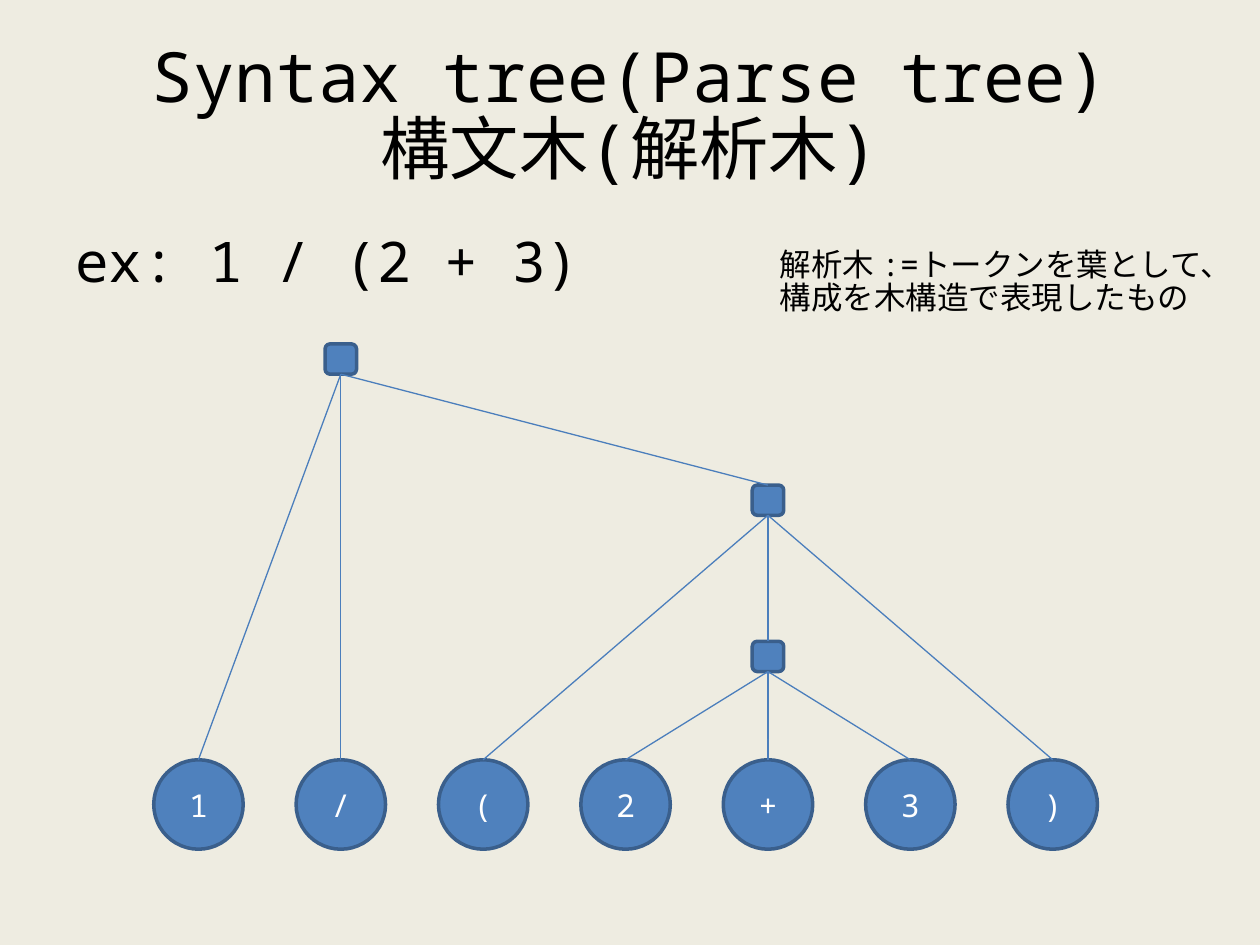
from pptx import Presentation
from pptx.dml.color import RGBColor
from pptx.enum.shapes import MSO_CONNECTOR, MSO_SHAPE
from pptx.enum.text import MSO_ANCHOR, PP_ALIGN
from pptx.oxml.ns import qn
from pptx.util import Inches, Pt
from lxml import etree

FONT = "Noto Sans Mono"
BACKGROUND = RGBColor(0xEE, 0xEC, 0xE1)
BLACK = RGBColor(0, 0, 0)
WHITE = RGBColor(0xFF, 0xFF, 0xFF)
NODE_FILL = RGBColor(0x4F, 0x81, 0xBD)
NODE_LINE = RGBColor(0x3A, 0x5F, 0x8C)
EDGE_LINE = RGBColor(0x4B, 0x7E, 0xBC)

TOKENS = ["1", "/", "(", "2", "+", "3", ")"]
TOKEN_STEP = 1.13
TOKEN_SIZE = 0.71
NODE_WIDTH, NODE_HEIGHT = 0.25, 0.24

# Inner nodes: token column they stand over, distance from the tree's top
INNER_NODES = {"expression": (1, 0), "group": (4, 1.12), "sum": (4, 2.36)}
# Children are token columns or names of inner nodes
CHILDREN = {
    "expression": [0, 1, "group"],
    "group": [2, "sum", 6],
    "sum": [3, 4, 5],
}


def write(text_frame, text, size, color=BLACK, align=PP_ALIGN.LEFT, spacing=None):
    text_frame.word_wrap = True
    text_frame.text = text
    for paragraph in text_frame.paragraphs:
        paragraph.alignment = align
        paragraph.line_spacing = spacing
        paragraph.font.name = FONT
        paragraph.font.size = Pt(size)
        paragraph.font.color.rgb = color


def add_title(slide, left, top, width, height):
    title = slide.shapes.title
    title.left, title.top = Inches(left), Inches(top)
    title.width, title.height = Inches(width), Inches(height)
    write(title.text_frame, "Syntax tree(Parse tree)\v構文木(解析木)", 39.6,
          align=PP_ALIGN.CENTER, spacing=0.87)
    title.text_frame.vertical_anchor = MSO_ANCHOR.MIDDLE


def add_text(slide, left, top, width, height, text, size, spacing=None):
    box = slide.shapes.add_textbox(Inches(left), Inches(top), Inches(width), Inches(height))
    write(box.text_frame, text, size, spacing=spacing)


def add_node(slide, kind, left, top, width, height):
    node = slide.shapes.add_shape(
        kind, Inches(left), Inches(top), Inches(width), Inches(height))
    node.shadow.inherit = False
    node.fill.solid()
    node.fill.fore_color.rgb = NODE_FILL
    node.line.color.rgb = NODE_LINE
    node.line.width = Pt(2)
    return node


def add_edge(slide, start, end):
    edge = slide.shapes.add_connector(
        MSO_CONNECTOR.STRAIGHT, *(Inches(value) for value in (*start, *end)))
    edge.line.color.rgb = EDGE_LINE
    edge.line.width = Pt(0.75)
    etree.SubElement(edge._element.spPr, qn("a:effectLst"))


def add_tree(slide, left, top, height):
    token_top = top + height - TOKEN_SIZE

    def column_center(column):
        return left + TOKEN_SIZE / 2 + column * TOKEN_STEP

    # Tokens as leaves
    tops = {}
    for column, token in enumerate(TOKENS):
        leaf = add_node(slide, MSO_SHAPE.OVAL, left + column * TOKEN_STEP, token_top,
                        TOKEN_SIZE, TOKEN_SIZE)
        write(leaf.text_frame, token, 18, WHITE, PP_ALIGN.CENTER)
        leaf.text_frame.vertical_anchor = MSO_ANCHOR.MIDDLE
        tops[column] = (column_center(column), token_top)

    # Inner nodes
    for name, (column, offset) in INNER_NODES.items():
        center = column_center(column)
        add_node(slide, MSO_SHAPE.ROUNDED_RECTANGLE, center - NODE_WIDTH / 2, top + offset,
                 NODE_WIDTH, NODE_HEIGHT)
        tops[name] = (center, top + offset)

    # Edges from the bottom of each parent to the top of each child
    for parent, children in CHILDREN.items():
        center, parent_top = tops[parent]
        for child in children:
            add_edge(slide, (center, parent_top + NODE_HEIGHT), tops[child])


def main():
    presentation = Presentation()
    presentation.slide_width, presentation.slide_height = Inches(10), Inches(7.5)
    slide = presentation.slides.add_slide(presentation.slide_layouts[5])
    slide.background.fill.solid()
    slide.background.fill.fore_color.rgb = BACKGROUND

    add_title(slide, 0.5, 0.3, 9, 1.25)
    add_text(slide, 0.5, 1.75, 9, 0.7, "ex: 1 / (2 + 3)", 32)
    add_tree(slide, 1.22, 2.73, 4.01)
    add_text(slide, 6.09, 1.94, 3.64, 0.71,
             "解析木 :=トークンを葉として、\n構成を木構造で表現したもの", 18, spacing=0.87)
    presentation.save("out.pptx")


if __name__ == "__main__":
    main()
